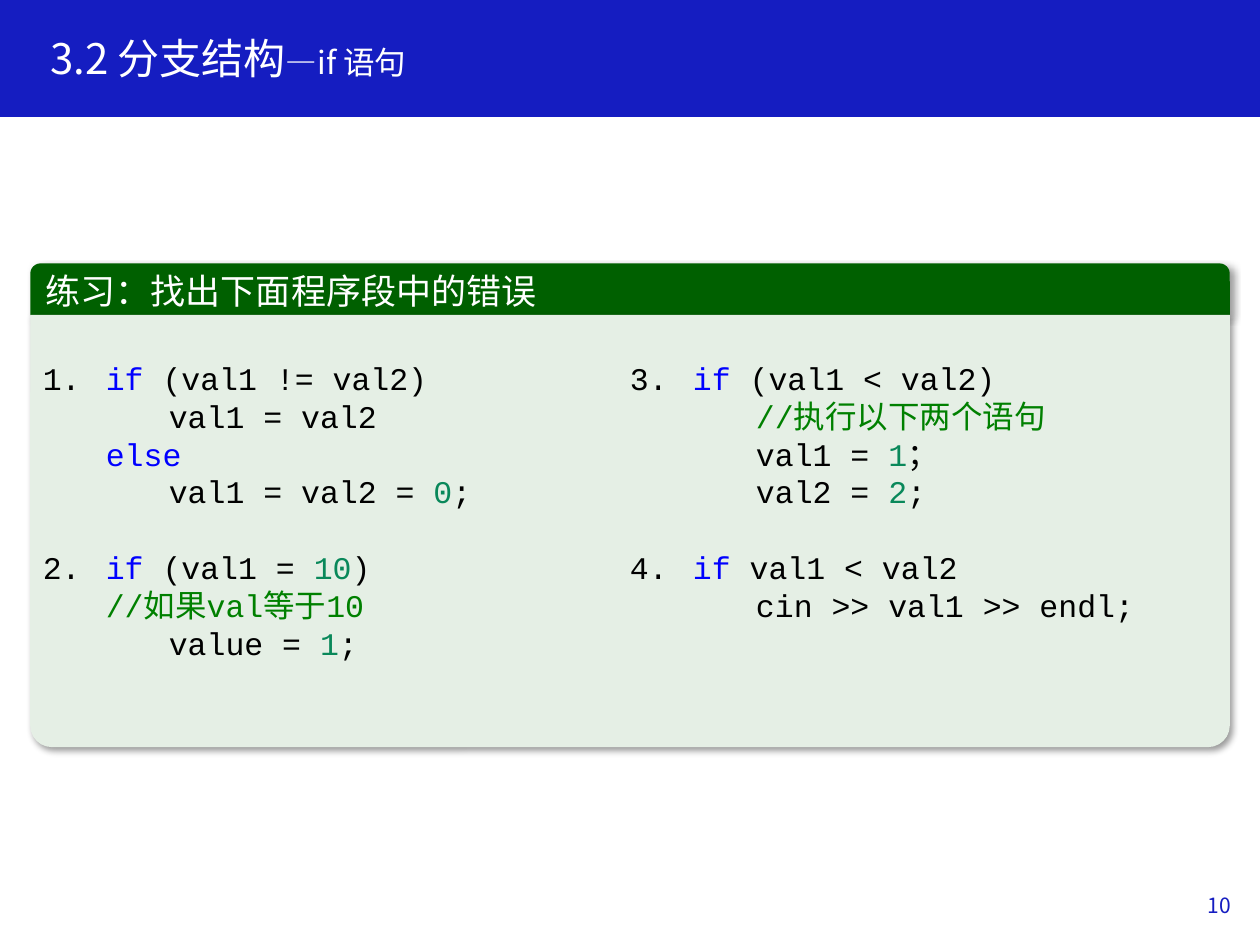
from lxml.etree import SubElement
from pptx import Presentation
from pptx.dml.color import RGBColor
from pptx.enum.shapes import MSO_SHAPE
from pptx.enum.text import MSO_ANCHOR, PP_ALIGN
from pptx.oxml import parse_xml
from pptx.oxml.ns import nsdecls, qn
from pptx.util import Inches, Pt

SANS, MONO = "Noto Sans CJK SC", "Courier New"
BLUE, GREEN, PALE, WHITE = "151DC1", "006000", "E5EFE5", "FFFFFF"
CODE, KEYWORD, NUMBER, COMMENT = "000000", "0000FF", "09885A", "008000"

TITLE = [("3.2 分支结构", WHITE, 24), ("—if 语句", WHITE, 18)]
HEADING = "练习：找出下面程序段中的错误"
PAGE = "10"

# Each column holds exercises: a number and its lines of (indent level, runs).
COLUMNS = [
    [
        ("1.", [
            (1, [("if", KEYWORD), (" (val1 != val2)", CODE)]),
            (2, [("val1 = val2", CODE)]),
            (1, [("else", KEYWORD)]),
            (2, [("val1 = val2 = ", CODE), ("0", NUMBER), (";", CODE)]),
        ]),
        ("2.", [
            (1, [("if", KEYWORD), (" (val1 = ", CODE), ("10", NUMBER), (")", CODE)]),
            (1, [("//如果val等于10", COMMENT)]),
            (2, [("value = ", CODE), ("1", NUMBER), (";", CODE)]),
        ]),
    ],
    [
        ("3.", [
            (1, [("if", KEYWORD), (" (val1 < val2)", CODE)]),
            (2, [("//执行以下两个语句", COMMENT)]),
            (2, [("val1 = ", CODE), ("1", NUMBER), ("；", CODE)]),
            (2, [("val2 = ", CODE), ("2", NUMBER), (";", CODE)]),
        ]),
        ("4.", [
            (1, [("if", KEYWORD), (" val1 < val2", CODE)]),
            (2, [("cin >> val1 >> endl;", CODE)]),
        ]),
    ],
]

PANEL_X, PANEL_W = 0.24, 9.52
CODE_X, CODE_Y, COLUMN_STEP = 0.34, 2.85, 4.66
INDENT, LINE_PITCH = 0.5, 21.6


def rgb(value):
    return RGBColor.from_string(value)


def add_run(p, text, color=WHITE, size=18, font=SANS):
    r = p.add_run()
    r.text = text
    r.font.size, r.font.name = Pt(size), font
    r.font.color.rgb = rgb(color)
    SubElement(r.font._element, qn("a:ea")).set("typeface", SANS)


def add_shape(s, kind, box, fill, adjustments=()):
    sp = s.shapes.add_shape(kind, *map(Inches, box))
    sp.shadow.inherit = False
    sp.fill.solid()
    sp.fill.fore_color.rgb = rgb(fill)
    sp.line.fill.background()
    for i, value in enumerate(adjustments):
        sp.adjustments[i] = value
    return sp


def add_shadow(sp):
    effects = sp._element.spPr.find(qn("a:effectLst"))
    effects.append(parse_xml(
        f'<a:outerShdw {nsdecls("a")} blurRad="50800" dist="38100" dir="2700000" '
        'algn="tl" rotWithShape="0"><a:srgbClr val="000000">'
        '<a:alpha val="40000"/></a:srgbClr></a:outerShdw>'))


def add_box(s, box, margin=0.1, anchor=MSO_ANCHOR.MIDDLE):
    tf = s.shapes.add_textbox(*map(Inches, box)).text_frame
    tf.word_wrap, tf.vertical_anchor = True, anchor
    tf.margin_left = tf.margin_right = Inches(margin)
    tf.margin_top = tf.margin_bottom = Inches(margin / 2)
    return tf


def add_exercises(s, x, exercises):
    tf = add_box(s, (x, CODE_Y, COLUMN_STEP - 0.1, 2.7), 0, MSO_ANCHOR.TOP)
    p = None
    for number, lines in exercises:
        for i, (level, runs) in enumerate(lines):
            new_exercise = i == 0 and p is not None
            p = tf.paragraphs[0] if p is None else tf.add_paragraph()
            p.line_spacing = Pt(LINE_PITCH)
            if new_exercise:
                p.space_before = Pt(LINE_PITCH)
            pPr = p._p.get_or_add_pPr()
            pPr.set("marL", str(Inches(INDENT * level)))
            pPr.set("indent", str(-Inches(INDENT) if i == 0 else 0))
            if i == 0:
                add_run(p, number + "\t", CODE, font=MONO)
            for text, color in runs:
                add_run(p, text, color, font=MONO)


def main():
    prs = Presentation()
    prs.slide_width, prs.slide_height = Inches(10), Inches(7.5)
    s = prs.slides.add_slide(prs.slide_layouts[6])

    banner = add_shape(s, MSO_SHAPE.RECTANGLE, (0, 0, 10, 0.92), BLUE)
    banner.line.color.rgb = rgb(BLUE)
    banner.line.width = Pt(1)
    p = add_box(s, (0.3, 0.23, 5.74, 0.51)).paragraphs[0]
    p.line_spacing = 0.9
    for text, color, size in TITLE:
        add_run(p, text, color, size)

    rounded = MSO_SHAPE.ROUND_2_SAME_RECTANGLE
    header = add_shape(s, rounded, (PANEL_X, 2.09, PANEL_W, 0.41), GREEN, (0.2, 0))
    panel = add_shape(s, rounded, (PANEL_X, 2.5, PANEL_W, 3.43), PALE, (0, 0.05))
    for sp in (header, panel):
        add_shadow(sp)
    tf = header.text_frame
    tf.vertical_anchor = MSO_ANCHOR.MIDDLE
    tf.paragraphs[0].alignment = PP_ALIGN.LEFT
    add_run(tf.paragraphs[0], HEADING, size=20)

    for i, exercises in enumerate(COLUMNS):
        add_exercises(s, CODE_X + i * COLUMN_STEP, exercises)

    p = add_box(s, (7.62, 6.98, 2.25, 0.4)).paragraphs[0]
    p.alignment = PP_ALIGN.RIGHT
    add_run(p, PAGE, BLUE, 12)
    prs.save("out.pptx")


if __name__ == "__main__":
    main()
